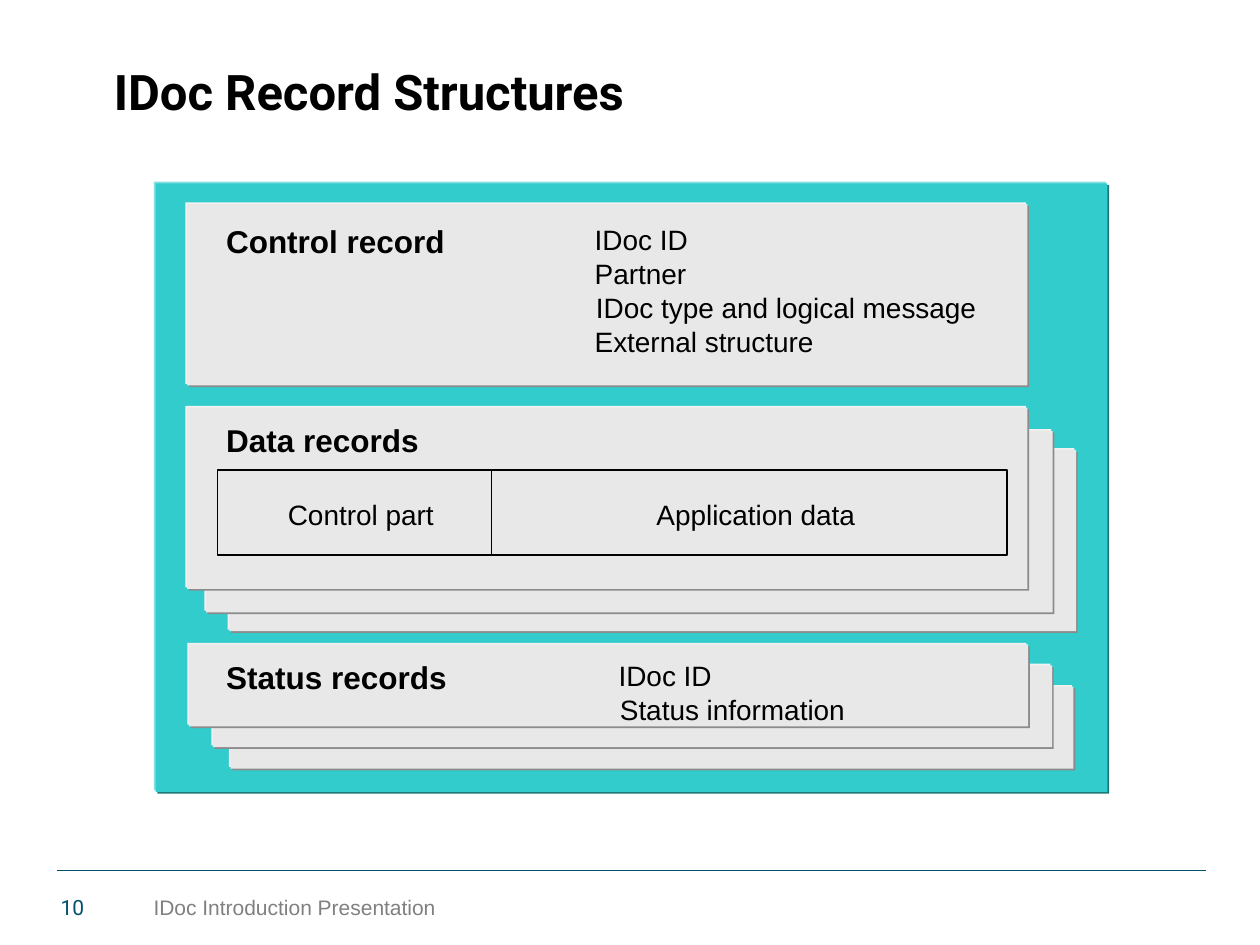
from lxml import etree
from pptx import Presentation, util as u
from pptx.dml.color import RGBColor
from pptx.enum import shapes, text

BLACK = RGBColor(0x00, 0x00, 0x00)
NAVY = RGBColor(0x00, 0x50, 0x6E)
FOOTER_GRAY = RGBColor(0x80, 0x80, 0x80)
# Each bevel: highlight, shade, face
TEAL = (RGBColor(0x84, 0xE0, 0xE0), RGBColor(0x1E, 0x7A, 0x7A), RGBColor(0x33, 0xCC, 0xCC))
GRAY = (RGBColor(0xF1, 0xF1, 0xF1), RGBColor(0x8B, 0x8B, 0x8B), RGBColor(0xE8, 0xE8, 0xE8))
BEVEL_SHIFTS = (-0.13, 0.14, 0)

deck = Presentation()
deck.slide_width, deck.slide_height = u.Inches(10), u.Inches(7.5)
COL, ROW = deck.slide_width / 100, deck.slide_height / 75
page = deck.slides.add_slide(deck.slide_layouts[6])


def grid(left, top, width, height):
    """Turn columns and rows into slide lengths."""
    return int(left * COL), int(top * ROW), int(width * COL), int(height * ROW)


def add_text(wording, place, size, color=BLACK, name="Arial", bold=False,
             margins=(0, 0), align=text.PP_ALIGN.LEFT):
    box = page.shapes.add_textbox(*grid(*place))
    frame = box.text_frame
    frame.word_wrap = True
    frame.margin_left = frame.margin_right = int(margins[0] * COL)
    frame.margin_top = frame.margin_bottom = int(margins[1] * ROW)
    para = frame.paragraphs[0]
    para.text, para.alignment = wording, align
    font = para.font
    font.name, font.size, font.bold = name, u.Pt(size), bold
    font.color.rgb = color
    return frame


# Footer and title
PADDING = (1, 0.5)
add_text("10", (2.95, 70.5, 5.6, 2.3), 12, NAVY, "Roboto",
         margins=PADDING, align=text.PP_ALIGN.CENTER)
add_text("IDoc Introduction Presentation", (11.2, 70.5, 64.8, 2.4), 12, FOOTER_GRAY,
         margins=PADDING)
rule = page.shapes.add_connector(shapes.MSO_CONNECTOR.STRAIGHT, int(4.5 * COL), int(69.1 * ROW),
                                 int(95.7 * COL), int(69.1 * ROW))
rule.line.color.rgb, rule.line.width = NAVY, u.Pt(0.75)
etree.SubElement(rule._element.spPr,
                 "{http://schemas.openxmlformats.org/drawingml/2006/main}effectLst")
title = add_text("IDoc Record Structures", (8.05, 3.2, 80.4, 8), 28, name="Roboto", bold=True,
                 margins=PADDING)
title.vertical_anchor = text.MSO_ANCHOR.MIDDLE

# Bevelled panels, from back to front
panels = [
    (TEAL, (12.35, 14.55, 75.55, 48.3)),  # whole IDoc
    (GRAY, (14.85, 16.2, 66.7, 14.4)),    # control record
    (GRAY, (18.3, 54.5, 66.9, 6.5)),      # status records
    (GRAY, (16.9, 52.8, 66.6, 6.5)),
    (GRAY, (15, 51.15, 66.6, 6.5)),
    (GRAY, (18.2, 35.7, 67.2, 14.4)),     # data records
    (GRAY, (16.35, 34.2, 67.2, 14.4)),
    (GRAY, (14.85, 32.35, 66.7, 14.4)),
]
for bevel, (left, top, width, height) in panels:
    for color, shift in zip(bevel, BEVEL_SHIFTS):
        panel = page.shapes.add_shape(shapes.MSO_SHAPE.RECTANGLE,
                                      *grid(left + shift, top + shift, width, height))
        panel.shadow.inherit = False
        panel.fill.solid()
        panel.fill.fore_color.rgb = color
        panel.line.fill.background()

# The two parts of a data record
for left, width in ((17.25, 21.75), (39, 40.95)):
    part = page.shapes.add_shape(shapes.MSO_SHAPE.RECTANGLE, *grid(left, 37.3, width, 6.75))
    part.shadow.inherit = False
    part.fill.solid()
    part.fill.fore_color.rgb = GRAY[-1]
    part.line.color.rgb, part.line.width = BLACK, u.Pt(1)

# Text boxes are a little wider than their wording, so each stays on one line
SLACK = 1
headings = [("Control record", 17.65, 17.4), ("Data records", 33.4, 15.3),
            ("Status records", 52.2, 17.5)]
for wording, top, width in headings:
    add_text(wording, (17.95, top, width + SLACK, 3), 18, bold=True)

details = [
    ("IDoc ID", 47.2, 17.7, 7.4),
    ("Partner", 47.2, 20.4, 7.3),
    ("IDoc type and logical message", 47.3, 23.1, 30.2),
    ("External structure", 47.2, 25.75, 17.4),
    ("Control part", 22.85, 39.5, 11.6),
    ("Application data", 52.1, 39.5, 15.8),
    ("IDoc ID", 49.1, 52.3, 7.4),
    ("Status information", 49.2, 54.95, 17.9),
]
for wording, left, top, width in details:
    add_text(wording, (left, top, width + SLACK, 2.7), 16)

deck.save("out.pptx")
